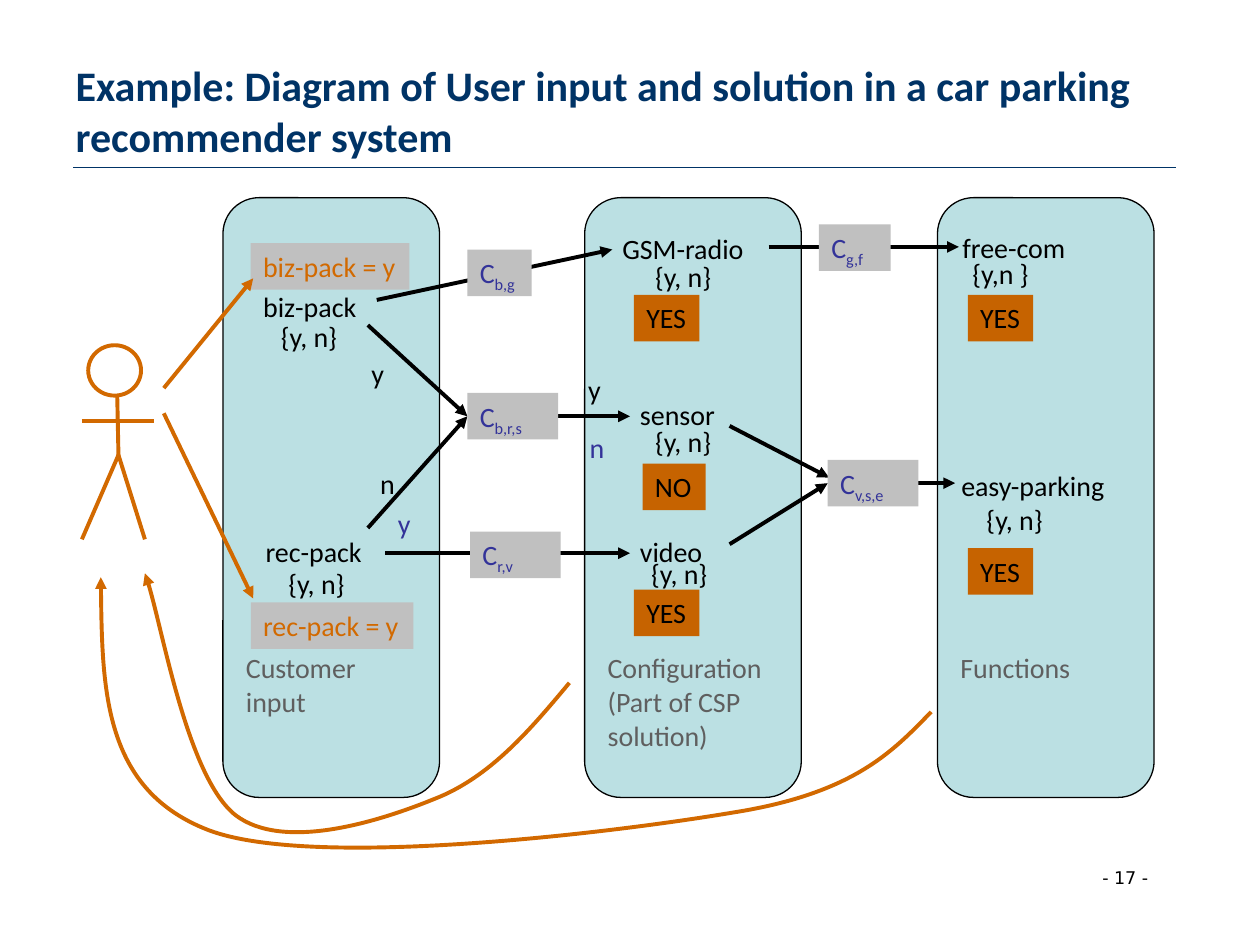
from lxml import etree
from pptx import Presentation
from pptx.dml.color import RGBColor
from pptx.enum.shapes import MSO_CONNECTOR, MSO_SHAPE
from pptx.enum.text import MSO_ANCHOR, MSO_AUTO_SIZE, PP_ALIGN
from pptx.oxml.ns import qn
from pptx.util import Pt

STRAIGHT = MSO_CONNECTOR.STRAIGHT
RECTANGLE, ROUNDED, OVAL = MSO_SHAPE.RECTANGLE, MSO_SHAPE.ROUNDED_RECTANGLE, MSO_SHAPE.OVAL
TOP, MIDDLE = MSO_ANCHOR.TOP, MSO_ANCHOR.MIDDLE
FIT, FIXED = MSO_AUTO_SIZE.SHAPE_TO_FIT_TEXT, MSO_AUTO_SIZE.NONE
LEFT = PP_ALIGN.LEFT

NAVY = RGBColor(0x00, 0x33, 0x66)
BLACK = RGBColor(0x00, 0x00, 0x00)
INDIGO = RGBColor(0x33, 0x33, 0x99)
PALE_TEAL = RGBColor(0xBB, 0xE0, 0xE3)
GREY = RGBColor(0xC0, 0xC0, 0xC0)
DARK_GREY = RGBColor(0x5F, 0x5F, 0x5F)
ORANGE = RGBColor(0xD2, 0x69, 0x00)
DARK_ORANGE = RGBColor(0xC6, 0x63, 0x00)

# Content; positions are left, top, width in points
TITLE = "Example: Diagram of User input and solution in a car parking recommender system"
PAGE = "- 17 -"
PANEL_TOP, PANEL_W, PANEL_H = 113, 123.8, 342.7
PANELS = [
    ("Functions", 535.7),
    ("Configuration\n(Part of CSP \nsolution)", 334.1),
    ("Customer\ninput", 127.4),
]
ROW_H = 26.6
VARIABLES = [
    ("biz-pack", 143.3, 162, 68.4), ("rec-pack", 144.7, 301.7, 69.8),
    ("GSM-radio", 348.5, 128.9, 85), ("sensor", 358.6, 223.9, 58.3),
    ("video", 358.6, 301.7, 50.4), ("free-com", 542.9, 128.2, 74.2),
    ("easy-parking", 542.2, 264.2, 97.2),
]
DOMAINS = [
    ("{y, n}", 153.4, 179.3, 46.8), ("{y, n}", 157.7, 320.4, 46.8),
    ("{y, n}", 367.2, 144.7, 46.8), ("{y, n}", 367.2, 239, 46.8),
    ("{y, n}", 365, 314.6, 46.8), ("{y,n }", 548.6, 143.3, 46.8),
    ("{y, n}", 556.6, 283.7, 46.8),
]
BIZ_VALUES = [("y", 205.2, 200.2, 21.6), ("n", 210.2, 262.8, 23), ("y", 329, 209.5, 21.6)]
REC_VALUES = [("y", 220.3, 285.8, 21.6), ("n", 329.8, 242.6, 23)]
CONSTRAINTS = [
    ("b,g", 267.1, 142.6, 36.7), ("g,f", 468, 128.2, 41),
    ("b,r,s", 267.1, 224.6, 51.8), ("v,s,e", 473, 262.8, 51.8),
    ("r,v", 268.6, 303.8, 51.8),
]
USER_CHOICES = [("biz-pack = y", 143.3, 139, 90.7), ("rec-pack = y", 143.3, 344.2, 92.9)]
SOLUTION = [
    ("YES", 362.2, 168.5, 37.4), ("NO", 367.2, 265, 36), ("YES", 362.2, 337, 37.4),
    ("YES", 553, 168.5, 37.4), ("YES", 553, 313.2, 37.4),
]
# Start, end, constraint joined at the start, constraint joined at the end
FLOWS = [
    ((215.3, 171.4), (349.9, 142.6), None, None),
    ((439.2, 141.1), (547.9, 141.1), None, None),
    ((210.2, 185.8), (267.1, 237.9), None, "b,r,s"),
    ((210.2, 301.7), (267.1, 237.9), None, "b,r,s"),
    ((318.9, 237.9), (360, 237.9), "b,r,s", None),
    ((416.9, 243.4), (473.8, 272.9), None, None),
    ((416.9, 311), (473, 276.1), None, "v,s,e"),
    ((524.8, 276.1), (545.8, 276.1), "v,s,e", None),
    ((220.3, 316.1), (360, 316.1), None, None),
]
USER_HEAD = (50.4, 197.3, 30.2, 28.8)
USER_LIMBS = [
    ((67, 226.1), (67.7, 260)), ((67.7, 260), (46.8, 308.2)),
    ((67.7, 260), (82.8, 308.2)), ((46.8, 240.5), (87.8, 240.5)),
]
INPUT_ARROWS = [((93.6, 221.8), (144.7, 159.1)), ((93.6, 236.2), (144.7, 342))]
# Start point, then three points for each Bezier segment
FEEDBACK_CURVES = [
    [(325.4, 390.2), (303.1, 416.9), (280.1, 444.2), (248.4, 456.5),
     (216.7, 469.4), (162, 486.7), (134.6, 465.8),
     (107.3, 444.2), (91.4, 349.9), (82.8, 327.6)],
    [(532.1, 406.8), (509.8, 429.8), (487.4, 453.6), (418.3, 464.4),
     (349.9, 475.9), (179.3, 496.8), (119.5, 474.5),
     (59, 451.4), (58.3, 390.2), (57.6, 329.8)],
]


def write(shape, text, color=BLACK, size=16, font="Calibri", bold=False,
          subscript="", anchor=TOP, fit=FIT, wrap=False):
    frame = shape.text_frame
    frame.word_wrap, frame.auto_size, frame.vertical_anchor = wrap, fit, anchor
    frame.text = text
    if subscript:
        index = frame.paragraphs[0].add_run()
        index.text = subscript
        index.font._element.set("baseline", "-25000")
    for paragraph in frame.paragraphs:
        paragraph.alignment = LEFT
        for run in paragraph.runs:
            run.font.name, run.font.size, run.font.bold = font, Pt(size), bold
            run.font.color.rgb = color


def add_box(shapes, kind, left, top, width, height, fill=None, line=None, weight=0.75):
    box = shapes.add_shape(kind, Pt(left), Pt(top), Pt(width), Pt(height))
    box.shadow.inherit = False
    if fill is None:
        box.fill.background()
    else:
        box.fill.solid()
        box.fill.fore_color.rgb = fill
    if line is None:
        box.line.fill.background()
    else:
        box.line.color.rgb, box.line.width = line, Pt(weight)
    return box


def add_arrowhead(shape):
    etree.SubElement(shape.line._get_or_add_ln(), qn("a:tailEnd"), type="triangle")


def add_line(shapes, start, end, color, weight=2.25, arrow=False):
    line = shapes.add_connector(STRAIGHT, *(Pt(v) for v in start + end))
    line.line.color.rgb, line.line.width = color, Pt(weight)
    if arrow:
        add_arrowhead(line)
    etree.SubElement(line._element.spPr, qn("a:effectLst"))
    return line


def add_curve(shapes, points, color):
    start, *rest = [(Pt(x), Pt(y)) for x, y in points]
    builder = shapes.build_freeform(*start)
    builder.add_line_segments(rest, close=False)
    curve = builder.convert_to_shape()
    # Turn each three straight steps into one Bezier segment
    steps = list(curve._element.iter(qn("a:lnTo")))
    outline = steps[0].getparent()
    for i in range(0, len(steps), 3):
        bezier = etree.SubElement(outline, qn("a:cubicBezTo"))
        for step in steps[i:i + 3]:
            bezier.append(step[0])
            outline.remove(step)
    curve.shadow.inherit = False
    curve.fill.background()
    curve.line.color.rgb, curve.line.width = color, Pt(2.25)
    add_arrowhead(curve)


def main():
    deck = Presentation()
    deck.slide_width, deck.slide_height = Pt(720), Pt(540)
    slide = deck.slides.add_slide(deck.slide_layouts[5])
    shapes = slide.shapes

    # Title, rule and page number
    title = shapes.title
    title.left, title.top, title.width, title.height = Pt(36), Pt(18), Pt(648), Pt(90)
    write(title, TITLE, color=NAVY, size=24, bold=True, anchor=MIDDLE, fit=FIXED, wrap=True)
    add_line(shapes, (41.8, 95.8), (671.8, 95.8), NAVY, weight=0.75)
    page = shapes.add_textbox(Pt(622.8), Pt(491.8), Pt(54.7), Pt(19.4))
    write(page, PAGE, size=10, font="DejaVu Sans")

    # Panels
    for caption, left in PANELS:
        panel = add_box(shapes, ROUNDED, left, PANEL_TOP, PANEL_W, PANEL_H, PALE_TEAL, BLACK)
        write(panel, caption, color=DARK_GREY, fit=FIXED, wrap=True)
        panel.text_frame.margin_top = Pt(253)

    # Flows lie beneath the constraint boxes they pass through
    flows = [add_line(shapes, start, end, BLACK, arrow=True) for start, end, *_ in FLOWS]
    constraints = {}
    for index, left, top, width in CONSTRAINTS:
        box = add_box(shapes, RECTANGLE, left, top, width, ROW_H, GREY)
        write(box, "C", color=INDIGO, subscript=index, wrap=True)
        constraints[index] = box
    for flow, (_, _, source, target) in zip(flows, FLOWS):
        if source:
            flow.begin_connect(constraints[source], 3)
        if target:
            flow.end_connect(constraints[target], 1)

    # Variables, domains and values
    for labels, color in ((VARIABLES + DOMAINS + BIZ_VALUES, BLACK), (REC_VALUES, INDIGO)):
        for text, left, top, width in labels:
            label = shapes.add_textbox(Pt(left), Pt(top), Pt(width), Pt(ROW_H))
            write(label, text, color=color)

    # User choices and solution
    for tags, fill, color in ((USER_CHOICES, GREY, ORANGE), (SOLUTION, DARK_ORANGE, BLACK)):
        for text, left, top, width in tags:
            write(add_box(shapes, RECTANGLE, left, top, width, ROW_H, fill), text, color=color)

    # User, input arrows and feedback
    add_box(shapes, OVAL, *USER_HEAD, line=ORANGE, weight=2.25)
    for start, end in USER_LIMBS:
        add_line(shapes, start, end, ORANGE)
    for start, end in INPUT_ARROWS:
        add_line(shapes, start, end, ORANGE, arrow=True)
    for points in FEEDBACK_CURVES:
        add_curve(shapes, points, ORANGE)

    deck.save("out.pptx")


if __name__ == "__main__":
    main()
